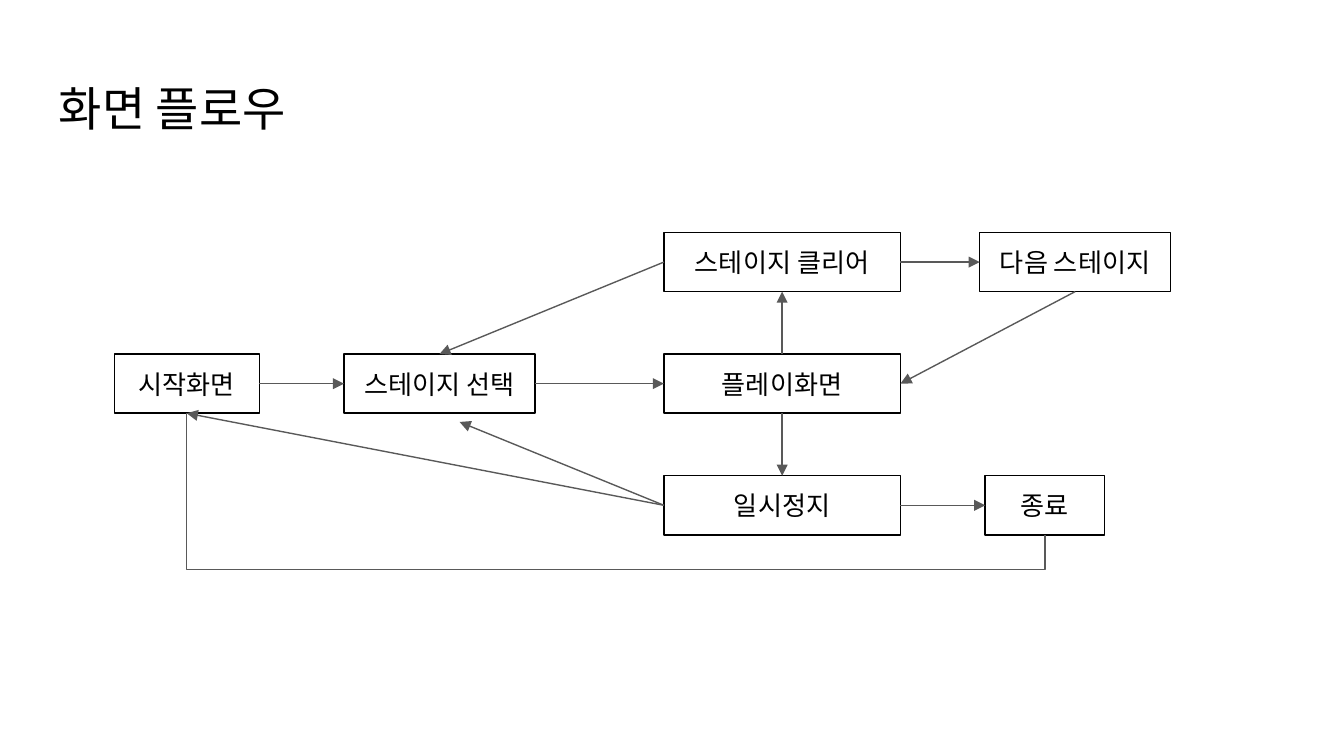
"""Build the screen flow slide."""
from dataclasses import dataclass

from lxml import etree
from pptx import Presentation
from pptx.dml.color import RGBColor
from pptx.enum.shapes import MSO_CONNECTOR, MSO_SHAPE
from pptx.enum.text import MSO_ANCHOR, MSO_AUTO_SIZE, PP_ALIGN
from pptx.oxml.ns import qn
from pptx.util import Inches, Pt

STRAIGHT, ELBOW = MSO_CONNECTOR.STRAIGHT, MSO_CONNECTOR.ELBOW
RECTANGLE = MSO_SHAPE.RECTANGLE
MIDDLE, TOP_ANCHOR = MSO_ANCHOR.MIDDLE, MSO_ANCHOR.TOP
GROW = MSO_AUTO_SIZE.SHAPE_TO_FIT_TEXT
LEFT_ALIGN, CENTER = PP_ALIGN.LEFT, PP_ALIGN.CENTER
TOP, LEFT, BOTTOM, RIGHT = range(4)


@dataclass(frozen=True)
class Theme:
    font: str = "Arial"
    ink: RGBColor = RGBColor(0, 0, 0)
    arrow: RGBColor = RGBColor(0x59, 0x59, 0x59)
    title_size: float = 25.2
    label_size: float = 14
    line_width: float = 0.75
    inset: float = 0.1


THEME = Theme()
SLIDE_WIDTH = 10
SLIDE_HEIGHT = SLIDE_WIDTH * 9 / 16
TITLE_MARGIN = 0.34
FIRST_ROW, ROW_PITCH, BOX_HEIGHT = 1.73, 1.81 / 2, 0.44
RETURN_DEPTH = 0.26

SCREENS = {
    "시작화면": (1, 0.85, 1.08),
    "플레이화면": (1, 4.94, 1.76),
    "스테이지 클리어": (0, 4.94, 1.76),
    "일시정지": (2, 4.94, 1.76),
    "스테이지 선택": (1, 2.56, 1.42),
    "다음 스테이지": (0, 7.29, 1.42),
    "종료": (2, 7.33, 0.89),
}
ARROWS = [
    ("시작화면", RIGHT, "스테이지 선택", LEFT),
    ("스테이지 선택", RIGHT, "플레이화면", LEFT),
    ("플레이화면", TOP, "스테이지 클리어", BOTTOM),
    ("스테이지 클리어", LEFT, "스테이지 선택", TOP),
    ("스테이지 클리어", RIGHT, "다음 스테이지", LEFT),
    ("플레이화면", BOTTOM, "일시정지", TOP),
    ("일시정지", RIGHT, "종료", LEFT),
    ("일시정지", LEFT, "시작화면", BOTTOM),
    ("다음 스테이지", BOTTOM, "플레이화면", RIGHT),
]


def write_text(shape, text, size, alignment, anchor):
    """Put one styled paragraph into a shape."""
    frame = shape.text_frame
    frame.word_wrap = True
    frame.vertical_anchor = anchor
    frame.margin_left = frame.margin_right = Inches(THEME.inset)
    frame.margin_top = frame.margin_bottom = Inches(THEME.inset)
    paragraph = frame.paragraphs[0]
    paragraph.text = text
    paragraph.alignment = alignment
    paragraph.font.name = THEME.font
    paragraph.font.size = Pt(size)
    paragraph.font.color.rgb = THEME.ink


def add_title(slide, text):
    """Add the slide title."""
    box = slide.shapes.add_textbox(
        Inches(TITLE_MARGIN), Inches(0.49),
        Inches(SLIDE_WIDTH - 2 * TITLE_MARGIN), Inches(0.63))
    write_text(box, text, THEME.title_size, LEFT_ALIGN, TOP_ANCHOR)


def add_screen(slide, text, row, left, width):
    """Add an outlined screen box on a grid row."""
    box = slide.shapes.add_shape(
        RECTANGLE, Inches(left), Inches(FIRST_ROW + row * ROW_PITCH),
        Inches(width), Inches(BOX_HEIGHT))
    box.shadow.inherit = False
    box.fill.background()
    box.line.color.rgb = THEME.ink
    box.line.width = Pt(THEME.line_width)
    write_text(box, text, THEME.label_size, CENTER, MIDDLE)
    box.text_frame.auto_size = GROW
    return box


def add_line(slide, kind, start, end):
    """Add a shadowless connector between two points."""
    line = slide.shapes.add_connector(kind, *start, *end)
    line.line.color.rgb = THEME.arrow
    line.line.width = Pt(THEME.line_width)
    etree.SubElement(line._element.spPr, qn("a:effectLst"))
    return line


def add_arrow(slide, source, source_side, end=(0, 0)):
    """Add an arrow from a side of a box to a point."""
    arrow = add_line(slide, STRAIGHT, (0, 0), end)
    arrow.begin_connect(source, source_side)
    outline = arrow.line._get_or_add_ln()
    etree.SubElement(outline, qn("a:tailEnd"), type="triangle")
    return arrow


def add_return_line(slide, first, last):
    """Join the bottoms of two boxes with a U-shaped elbow line."""
    start_x, start_y = first.left + first.width // 2, first.top + first.height
    end_x, end_y = last.left + last.width // 2, last.top + last.height
    span, drop = end_x - start_x, end_y - start_y
    middle_x, middle_y = (start_x + end_x) // 2, (start_y + end_y) // 2
    line = add_line(
        slide, ELBOW,
        (middle_x + drop // 2, middle_y - span // 2),
        (middle_x - drop // 2, middle_y + span // 2))
    properties = line._element.spPr
    properties.find(qn("a:xfrm")).set("rot", str(270 * 60000))
    bend = round(100000 * (1 + Inches(RETURN_DEPTH) / drop))
    adjustments = properties.find(qn("a:prstGeom")).get_or_add_avLst()
    etree.SubElement(adjustments, qn("a:gd"), name="adj1", fmla=f"val {bend}")


def main():
    """Build and save the presentation."""
    presentation = Presentation()
    presentation.slide_width = Inches(SLIDE_WIDTH)
    presentation.slide_height = Inches(SLIDE_HEIGHT)
    slide = presentation.slides.add_slide(presentation.slide_layouts[6])
    add_title(slide, "화면 플로우")
    boxes = {text: add_screen(slide, text, *place)
             for text, place in SCREENS.items()}
    for source, source_side, target, target_side in ARROWS:
        arrow = add_arrow(slide, boxes[source], source_side)
        arrow.end_connect(boxes[target], target_side)
    add_arrow(slide, boxes["일시정지"], LEFT, (Inches(3.42), Inches(3.14)))
    add_return_line(slide, boxes["시작화면"], boxes["종료"])
    presentation.save("out.pptx")


if __name__ == "__main__":
    main()
